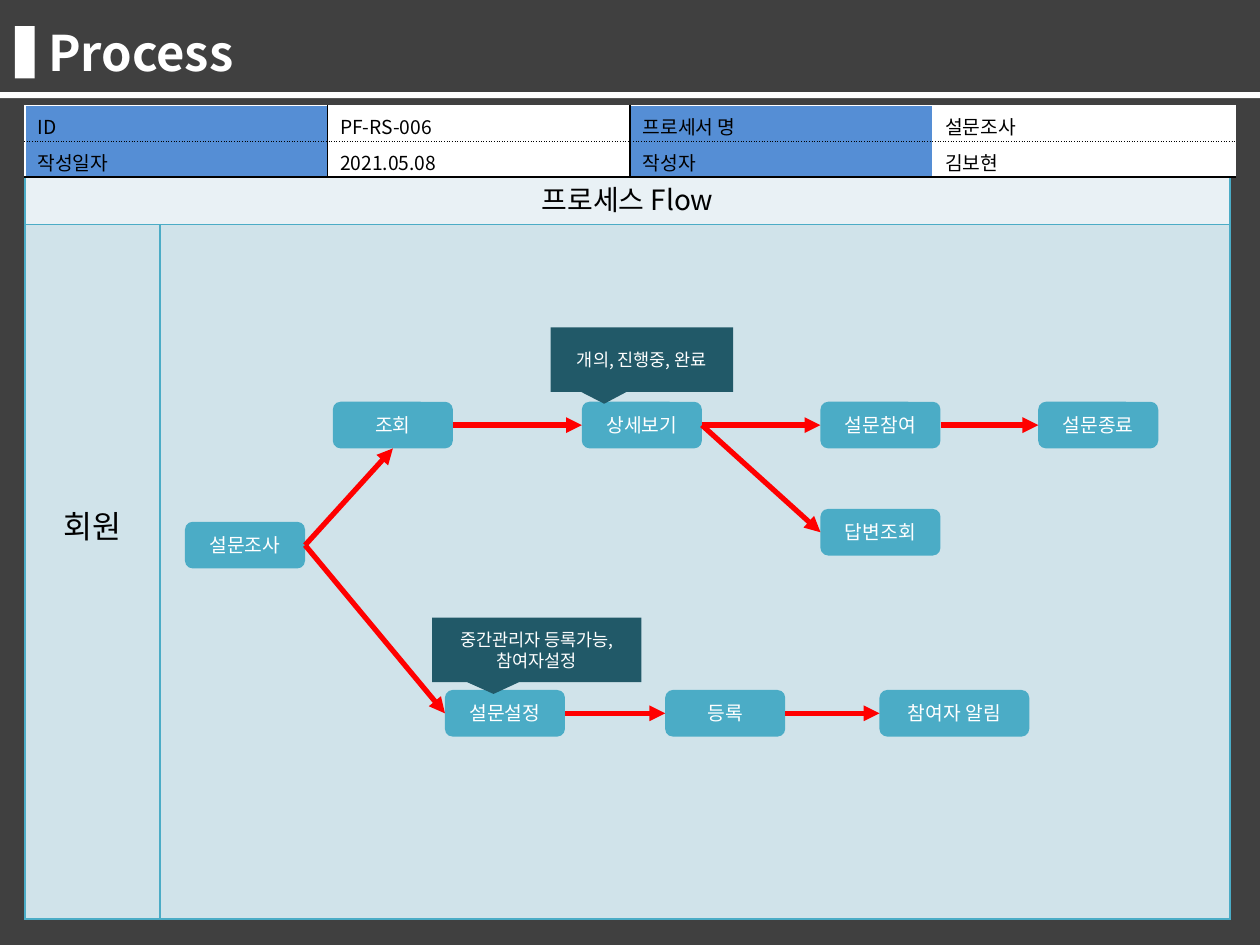
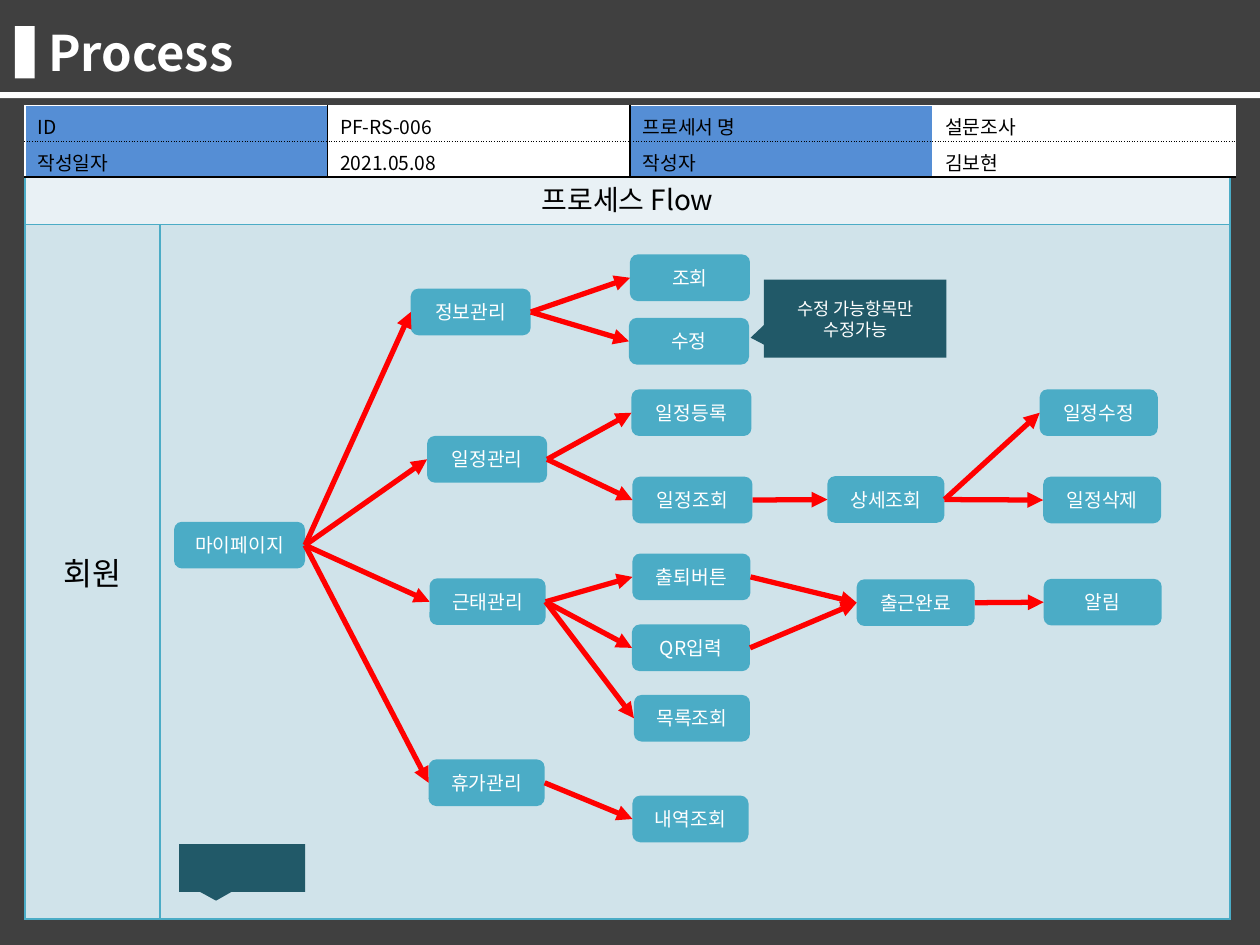
import pptx
import pptx.dml.color
import pptx.enum.shapes
import pptx.enum.text
import pptx.oxml
import pptx.oxml.ns
import pptx.util

Cm, Pt = pptx.util.Cm, pptx.util.Pt
colour = pptx.dml.color.RGBColor.from_string
SHAPE = pptx.enum.shapes.MSO_SHAPE
LEFT = pptx.enum.text.PP_ALIGN.LEFT
CENTER = pptx.enum.text.PP_ALIGN.CENTER
MIDDLE = pptx.enum.text.MSO_ANCHOR.MIDDLE
NAMESPACE = pptx.oxml.ns.nsdecls("a")

FONT = "Noto Sans CJK KR"
DARK, WHITE, BLACK = "404040", "FFFFFF", "000000"
TEAL, DEEP_TEAL, BLUE, RED = "4BACC6", "215968", "558ED5", "FF0000"
HEADER_TINT, LANE_TINT = "E9F1F5", "D0E3EA"
TOP, LEFT_SITE, BOTTOM, RIGHT_SITE = range(4)
NODE_HEIGHT = 0.94

INFO = [["ID", "PF-RS-006", "프로세서 명", "설문조사"],
        ["작성일자", "2021.05.08", "작성자", "김보현"]]
INFO_VERTICALS = [WHITE, BLACK, BLACK, WHITE, WHITE]
INFO_HORIZONTALS = [(WHITE, "solid"), (BLACK, "sysDot"), (BLACK, "solid")]

# Nodes: name -> left, top, width. Callouts: text, place, pointer. Lengths in cm.
FLOWS = [
    {
        "lane_offset": 5.59,
        "nodes": {
            "설문조사": (3.73, 10.52, 2.42),
            "조회": (6.71, 8.1, 2.42),
            "상세보기": (11.73, 8.1, 2.42),
            "설문참여": (16.54, 8.1, 2.42),
            "설문종료": (20.93, 8.1, 2.42),
            "답변조회": (16.54, 10.26, 2.42),
            "설문설정": (8.97, 13.91, 2.42),
            "등록": (13.41, 13.91, 2.42),
            "참여자 알림": (17.73, 13.91, 3.02),
        },
        "callouts": [
            ("개의, 진행중, 완료", (11.1, 6.6, 3.68, 1.3), (-0.206, 0.685)),
            ("중간관리자 등록가능, 참여자설정", (8.71, 12.45, 4.22, 1.3), (-0.206, 0.685)),
        ],
        "arrows": [
            ("설문조사", "조회", BOTTOM),
            ("설문조사", "설문설정", LEFT_SITE),
            ("조회", "상세보기", LEFT_SITE),
            ("상세보기", "설문참여", LEFT_SITE),
            ("상세보기", "답변조회", LEFT_SITE),
            ("설문참여", "설문종료", LEFT_SITE),
            ("설문설정", "등록", LEFT_SITE),
            ("등록", "참여자 알림", LEFT_SITE),
        ],
    },
    {
        "lane_offset": 6.53,
        "nodes": {
            "마이페이지": (3.51, 10.52, 2.64),
            "정보관리": (8.28, 5.82, 2.42),
            "일정관리": (8.61, 8.79, 2.42),
            "근태관리": (8.66, 11.66, 2.34),
            "휴가관리": (8.64, 15.31, 2.34),
            "조회": (12.7, 5.13, 2.42),
            "수정": (12.68, 6.41, 2.42),
            "일정등록": (12.73, 7.85, 2.42),
            "일정조회": (12.75, 9.61, 2.42),
            "출퇴버튼": (12.75, 11.16, 2.38),
            "QR입력": (12.74, 12.59, 2.38),
            "목록조회": (12.78, 14.01, 2.34),
            "내역조회": (12.75, 16.04, 2.34),
            "상세조회": (16.68, 9.6, 2.36),
            "출근완료": (17.27, 11.68, 2.38),
            "일정수정": (20.96, 7.85, 2.38),
            "일정삭제": (21.03, 9.61, 2.38),
            "알림": (21.04, 11.67, 2.38),
        },
        "callouts": [
            ("", (3.61, 17.02, 2.54, 0.96), (-0.206, 0.685)),
            ("수정 가능항목만 수정가능", (15.4, 5.64, 3.68, 1.57), (-0.573, 0.244)),
        ],
        "arrows": [(start, end, LEFT_SITE) for start, ends in {
            "마이페이지": ["정보관리", "일정관리", "근태관리", "휴가관리"],
            "정보관리": ["조회", "수정"],
            "일정관리": ["일정등록", "일정조회"],
            "근태관리": ["출퇴버튼", "QR입력", "목록조회"],
            "휴가관리": ["내역조회"],
            "일정조회": ["상세조회"],
            "상세조회": ["일정수정", "일정삭제"],
            "출퇴버튼": ["출근완료"],
            "QR입력": ["출근완료"],
            "출근완료": ["알림"],
        }.items() for end in ends],
    },
]


def dress(target, fill, text="", size=11, ink=WHITE, bold=False, align=CENTER):
    """Fill a shape or table cell and write its text."""
    if fill:
        target.fill.solid()
        target.fill.fore_color.rgb = colour(fill)
    if not text:
        return
    target.text_frame.word_wrap = True
    paragraph = target.text_frame.paragraphs[0]
    paragraph.alignment = align
    span = paragraph.add_run()
    span.text = text
    for name, value in {"name": FONT, "size": Pt(size), "bold": bold}.items():
        setattr(span.font, name, value)
    span.font.color.rgb = colour(ink)
    span.font._element.append(pptx.oxml.parse_xml(f'<a:ea {NAMESPACE} typeface="{FONT}"/>'))


def draw_borders(cell, left, right, top, bottom):
    """Add 1 pt borders, each given as (colour, dash); call before filling."""
    properties = cell._tc.get_or_add_tcPr()
    for side, (ink, dash) in zip("LRTB", (left, right, top, bottom)):
        properties.append(pptx.oxml.parse_xml(
            f'<a:ln{side} {NAMESPACE} w="12700"><a:solidFill><a:srgbClr val="{ink}"/>'
            f'</a:solidFill><a:prstDash val="{dash}"/></a:ln{side}>'))


deck = pptx.Presentation()
deck.slide_width, deck.slide_height = Cm(25.4), Cm(19.05)

for flow in FLOWS:
    page = deck.slides.add_slide(deck.slide_layouts[6])

    # Backdrop, title marker and rule
    for place, fill in [((0, 0, 25.4, 19.05), DARK),
                        ((0.3, 0.53, 0.4, 1.05), WHITE),
                        ((0, 1.86, 25.4, 0.12), WHITE)]:
        band = page.shapes.add_shape(SHAPE.RECTANGLE, *map(Cm, place))
        band.shadow.inherit = False
        band.line.fill.background()
        dress(band, fill)
    title = page.shapes.add_textbox(Cm(0.72), Cm(0.33), Cm(22.8), Cm(1.45))
    dress(title, None, "Process", 28, bold=True, align=LEFT)

    # Flow lane and information tables
    lane = page.shapes.add_table(2, 2, Cm(0.5), Cm(3.46), Cm(24.3), Cm(15.07)).table
    info = page.shapes.add_table(2, 4, Cm(0.5), Cm(2.13), Cm(24.4), Cm(1.44)).table
    for table in (lane, info):
        table.first_row = table.horz_banding = False
    for column, width in zip(lane.columns, (2.73, 21.57)):
        column.width = Cm(width)
    for row, height in zip(lane.rows, (1.07, 14)):
        row.height = Cm(height)
    lane.cell(0, 0).merge(lane.cell(0, 1))
    for cell in lane.iter_cells():
        draw_borders(cell, *[(TEAL, "solid")] * 4)
    dress(lane.cell(0, 0), HEADER_TINT, "프로세스 Flow", 16, BLACK)
    dress(lane.cell(1, 0), LANE_TINT, "회원", 18, BLACK)
    dress(lane.cell(1, 1), LANE_TINT)
    lane.cell(1, 0).margin_top = Cm(flow["lane_offset"])

    for r, texts in enumerate(INFO):
        for c, text in enumerate(texts):
            cell = info.cell(r, c)
            cell.margin_bottom = 0
            draw_borders(cell, (INFO_VERTICALS[c], "solid"), (INFO_VERTICALS[c + 1], "solid"),
                         INFO_HORIZONTALS[r], INFO_HORIZONTALS[r + 1])
            dress(cell, WHITE if c % 2 else BLUE, text, 11, BLACK, align=LEFT)

    # Flow steps, callouts and arrows
    steps = {}
    for name, (left, top, width) in flow["nodes"].items():
        step = page.shapes.add_shape(SHAPE.ROUNDED_RECTANGLE, Cm(left), Cm(top),
                                     Cm(width), Cm(NODE_HEIGHT))
        dress(step, TEAL, name)
        steps[name] = step
    callouts = []
    for text, place, pointer in flow["callouts"]:
        callout = page.shapes.add_shape(SHAPE.RECTANGULAR_CALLOUT, *map(Cm, place))
        callout.adjustments[0], callout.adjustments[1] = pointer
        dress(callout, DEEP_TEAL, text, 10)
        callouts.append(callout)
    for box in [*steps.values(), *callouts]:
        box.shadow.inherit = False
        box.line.fill.background()
        box.text_frame.vertical_anchor = MIDDLE

    for start, end, site in flow["arrows"]:
        arrow = page.shapes.add_connector(pptx.enum.shapes.MSO_CONNECTOR.STRAIGHT, 0, 0, 0, 0)
        arrow.begin_connect(steps[start], RIGHT_SITE)
        arrow.end_connect(steps[end], site)
        arrow.line.width = Pt(3)
        arrow.line.color.rgb = colour(RED)
        arrow.get_or_add_ln().append(
            pptx.oxml.parse_xml(f'<a:tailEnd {NAMESPACE} type="triangle"/>'))
        arrow._element.spPr.append(pptx.oxml.parse_xml(f"<a:effectLst {NAMESPACE}/>"))

deck.save("out.pptx")
